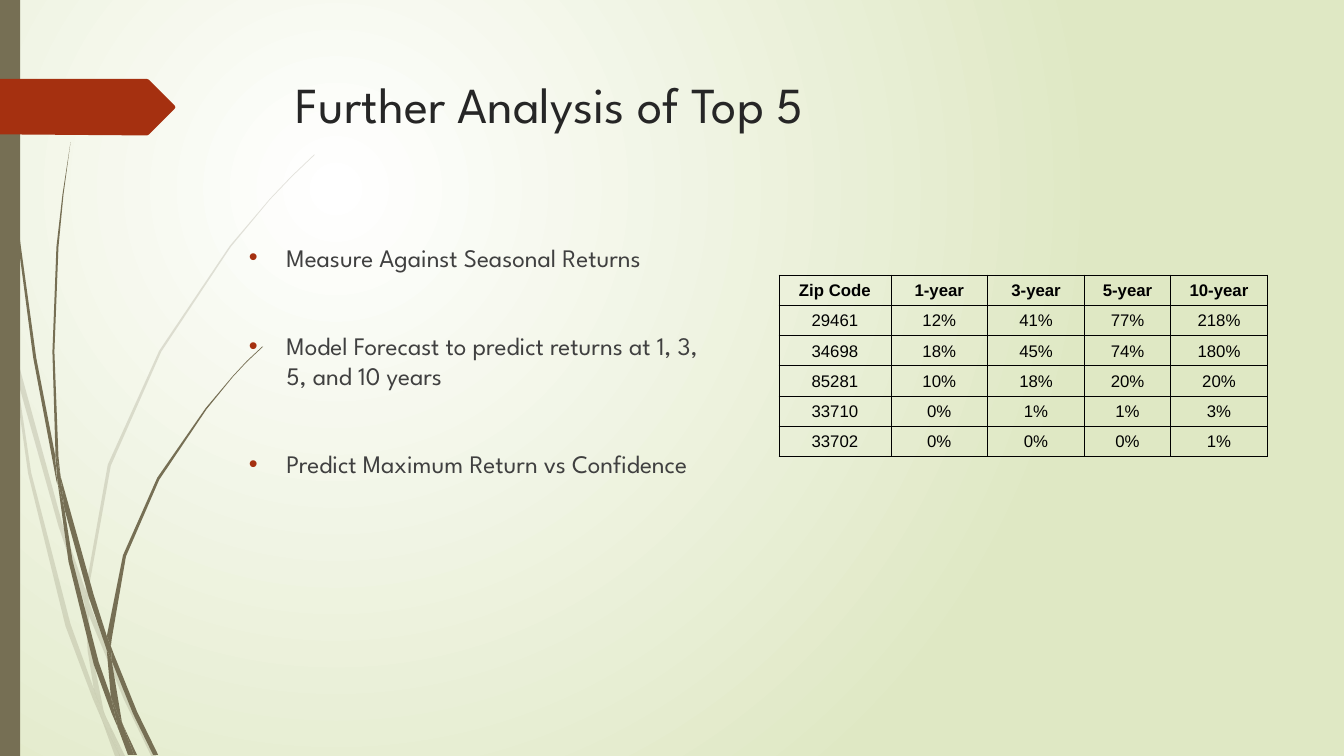
from pptx import Presentation
from pptx.dml.color import RGBColor as RGB
from pptx.enum.shapes import MSO_SHAPE as SHAPE
from pptx.enum.text import MSO_ANCHOR as ANCHOR, PP_ALIGN as ALIGN
from pptx.oxml import parse_xml
from pptx.oxml.ns import nsdecls
from pptx.util import Cm, Pt

COLORS = {"glow": "FFFFFF", "sage": "DFE8C4", "stem": "766F54", "rust": "A53010",
          "title": "262626", "body": "404040", "grid": "000000"}
UNIT = Cm(0.0254)
PALE_BLADES = [
    [(11, 350), (9, 322), (0, 282), (0, 299), (10, 344)],
    [(58, 522), (84, 599), (85, 586), (62, 520), (14, 345), (17, 376)],
    [(92, 607), (88, 596), (88, 610), (123, 694), (150, 750), (155, 750), (127, 692)],
    [(119, 750), (124, 750), (105, 711)],
    [(93, 683), (70, 619), (31, 469), (17, 376), (11, 350), (28, 470), (65, 621), (92, 693),
     (101, 714), (99, 707)],
    [(84, 599), (87, 646), (93, 683), (96, 692), (105, 711), (103, 706), (91, 646), (88, 610),
     (88, 608)],
    [(88, 584), (110, 462), (160, 349), (229, 245), (268, 198), (290, 175), (312, 154),
     (312, 153), (289, 175), (268, 197), (228, 244), (158, 348), (107, 461), (85, 584),
     (85, 586), (88, 596)],
    [(101, 714), (114, 750), (119, 750)],
    [(88, 608), (88, 610), (88, 596), (85, 586), (84, 599)],
    [(96, 692), (93, 683), (99, 707), (101, 714), (119, 750), (105, 711)],
]
DARK_BLADES = [
    [(7, 110), (17, 233), (33, 355), (56, 477), (57, 481), (55, 457), (55, 453), (36, 355),
     (19, 232), (8, 109), (5, 48), (4, 0), (3, 0), (4, 48)],
    [(88, 592), (106, 645), (106, 633), (106, 631), (93, 590), (60, 472), (64, 505)],
    [(113, 649), (110, 641), (111, 656), (132, 708), (152, 749), (157, 749), (136, 706)],
    [(110, 691), (98, 657), (72, 556), (64, 505), (57, 477), (68, 557), (93, 659), (111, 708),
     (117, 722), (116, 717)],
    [(60, 472), (58, 453), (54, 349), (58, 245), (63, 193), (70, 141), (62, 193), (56, 245),
     (52, 349), (55, 449)],
    [(133, 749), (136, 749), (122, 719)],
    [(57, 477), (64, 505), (60, 472), (55, 449), (55, 453)],
    [(111, 633), (125, 552), (158, 476), (205, 406), (231, 374), (245, 359), (261, 344),
     (260, 344), (245, 358), (231, 373), (204, 405), (156, 474), (122, 551), (106, 631),
     (110, 641)],
    [(117, 722), (127, 749), (131, 749)],
    [(106, 645), (110, 691), (116, 706), (122, 719), (121, 716), (111, 656), (109, 651)],
    [(106, 645), (109, 651), (111, 656), (110, 641), (106, 631), (106, 633)],
    [(116, 706), (110, 691), (116, 717), (117, 722), (130, 749), (133, 749), (122, 719)],
]
TAG = [(173, 30), (148, 55), (146, 56), (136, 56), (0, 55), (0, 0), (146, 0), (148, 1),
       (173, 26), (174, 28)]
POINTS = ["Measure Against Seasonal Returns",
          "Model Forecast to predict returns at 1, 3, 5, and 10 years",
          "Predict Maximum Return vs Confidence"]
RETURNS = [["Zip Code", "1-year", "3-year", "5-year", "10-year"],
           ["29461", "12%", "41%", "77%", "218%"],
           ["34698", "18%", "45%", "74%", "180%"],
           ["85281", "10%", "18%", "20%", "20%"],
           ["33710", "0%", "1%", "1%", "3%"],
           ["33702", "0%", "0%", "0%", "1%"]]
COL_WIDTHS = [2.82, 2.44, 2.44, 2.17, 2.44]


def paint(sp, color, alpha=None):
    """Give a shape a plain fill with no line or shadow."""
    sp.shadow.inherit = False
    sp.line.fill.background()
    sp.fill.solid()
    sp.fill.fore_color.rgb = RGB.from_string(COLORS[color])
    if alpha:
        clr = sp.fill._xPr.find(".//{*}srgbClr")
        clr.append(parse_xml(f'<a:alpha {nsdecls("a")} val="{alpha * 1000}"/>'))


def style_font(font, color, **formats):
    """Set font attributes and colour."""
    for name, value in formats.items():
        setattr(font, name, value)
    font.color.rgb = RGB.from_string(COLORS[color])


def add_outline(shapes, x, y, points, color, alpha=None):
    """Draw a closed outline from points measured from x, y."""
    builder = shapes.build_freeform(*points[0], scale=UNIT)
    builder.add_line_segments(points[1:], close=True)
    paint(builder.convert_to_shape(x, y), color, alpha)


def add_background(slide):
    """Fill the slide with a round glow."""
    stops = "".join(f'<a:gs pos="{pos}"><a:srgbClr val="{COLORS[name]}"/></a:gs>'
                    for pos, name in ((0, "glow"), (100000, "sage")))
    slide._element.cSld.insert(0, parse_xml(
        f'<p:bg {nsdecls("p", "a")}><p:bgPr><a:gradFill rotWithShape="1">'
        f'<a:gsLst>{stops}</a:gsLst><a:path path="circle">'
        '<a:fillToRect l="50000" t="50000" r="100000" b="100000"/></a:path>'
        '</a:gradFill><a:effectLst/></p:bgPr></p:bg>'))


def add_side_decoration(slide, x, y, w, h):
    """Draw the grass blades, the edge bar and the tag."""
    for blades, alpha in ((PALE_BLADES, 20), (DARK_BLADES, None)):
        group = slide.shapes.add_group_shape()
        for blade in blades:
            add_outline(group.shapes, x, y, blade, "stem", alpha)
    paint(slide.shapes.add_shape(SHAPE.RECTANGLE, x, y, w, h), "stem")
    add_outline(slide.shapes, x, y + Cm(1.99), TAG, "rust")


def add_text_box(slide, x, y, w, h):
    """Add a wrapping text box and return its frame."""
    tf = slide.shapes.add_textbox(x, y, w, h).text_frame
    tf.word_wrap = True
    return tf


def add_title(slide, x, y, w, h):
    """Write the slide title."""
    p = add_text_box(slide, x, y, w, h).paragraphs[0]
    r = p.add_run()
    r.text = "Further Analysis of Top 5"
    style_font(r.font, "title", size=Pt(36), name="League Spartan")


def add_points(slide, x, y, w, h):
    """Write the bulleted points."""
    tf = add_text_box(slide, x, y, w, h)
    for i, text in enumerate(POINTS):
        p = tf.add_paragraph() if i else tf.paragraphs[0]
        pPr = p._p.get_or_add_pPr()
        pPr.set("marL", str(Cm(0.95)))
        pPr.set("indent", str(-Cm(0.95)))
        for bullet in (f'<a:buClr {nsdecls("a")}><a:srgbClr val="{COLORS["rust"]}"/></a:buClr>',
                       f'<a:buFont {nsdecls("a")} typeface="Arial"/>',
                       f'<a:buChar {nsdecls("a")} char="•"/>'):
            pPr.append(parse_xml(bullet))
        if i:
            p.space_before = Pt(41.5)
        r = p.add_run()
        r.text = text
        style_font(r.font, "body", size=Pt(18), name="League Spartan")


def add_returns_table(slide, x, y, w, h):
    """Build the table of returns by zip code."""
    table = slide.shapes.add_table(len(RETURNS), len(COL_WIDTHS), x, y, w, h).table
    table.first_row = table.horz_banding = False
    for col, width in zip(table.columns, COL_WIDTHS):
        col.width = Cm(width)
    for i, values in enumerate(RETURNS):
        table.rows[i].height = int(h / len(RETURNS))
        for j, value in enumerate(values):
            format_cell(table.cell(i, j), value, i == 0)


def format_cell(cell, value, bold):
    """Write one centred, bordered cell."""
    formats = {"margin_left": Cm(0.03), "margin_right": Cm(0.03), "margin_top": Cm(0.03),
               "margin_bottom": 0, "vertical_anchor": ANCHOR.MIDDLE}
    for name, setting in formats.items():
        setattr(cell, name, setting)
    for side in "LRTB":
        cell._tc.get_or_add_tcPr().append(parse_xml(
            f'<a:ln{side} {nsdecls("a")} w="{Pt(0.5)}"><a:solidFill>'
            f'<a:srgbClr val="{COLORS["grid"]}"/></a:solidFill></a:ln{side}>'))
    cell.fill.background()
    p = cell.text_frame.paragraphs[0]
    p.alignment = ALIGN.CENTER
    r = p.add_run()
    r.text = value
    style_font(r.font, "grid", size=Pt(12), name="Arial", bold=bold)


def main():
    """Build and save the slide."""
    prs = Presentation()
    prs.slide_width, prs.slide_height = Cm(33.87), Cm(19.05)
    slide = prs.slides.add_slide(prs.slide_layouts[6])
    add_background(slide)
    add_side_decoration(slide, Cm(0), Cm(0), Cm(0.51), prs.slide_height)
    add_title(slide, Cm(7.21), Cm(1.73), Cm(24.77), Cm(3.56))
    add_points(slide, Cm(6.02), Cm(5.97), Cm(11.99), Cm(10.49))
    add_returns_table(slide, Cm(19.63), Cm(6.93), Cm(sum(COL_WIDTHS)), Cm(4.57))
    prs.save("out.pptx")


if __name__ == "__main__":
    main()
